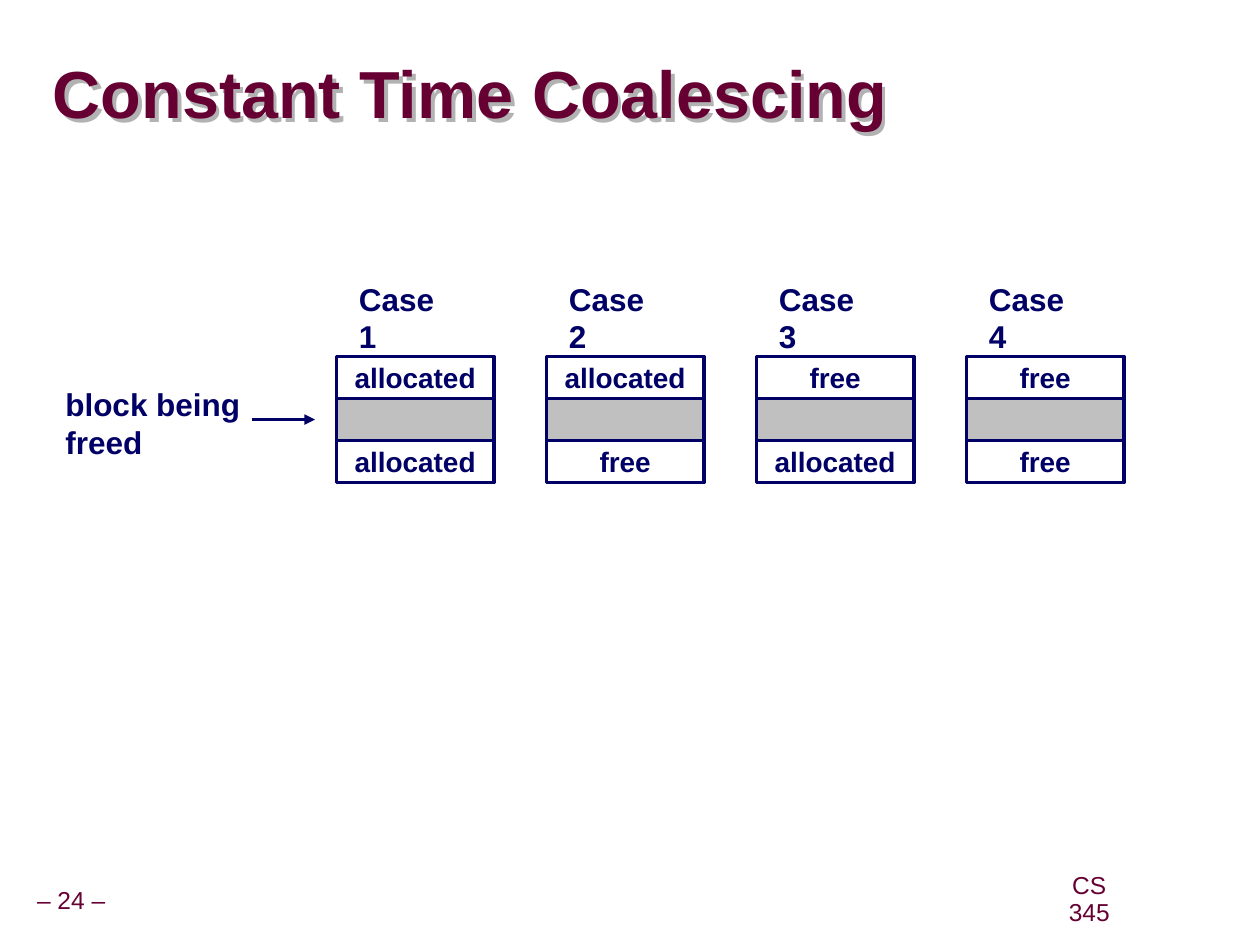
from dataclasses import dataclass

from lxml.etree import SubElement
from pptx import Presentation
from pptx.dml.color import RGBColor
from pptx.enum.shapes import MSO_CONNECTOR, MSO_SHAPE
from pptx.enum.text import MSO_ANCHOR, MSO_AUTO_SIZE, PP_ALIGN
from pptx.oxml import parse_xml
from pptx.oxml.ns import nsdecls, qn
from pptx.util import Inches, Pt


@dataclass(frozen=True)
class Theme:
    font: str = "Arial"
    wine: str = "660033"
    navy: str = "000066"
    gray: str = "C0C0C0"
    white: str = "FFFFFF"
    shade: str = "B2B2B2"
    title: int = 38
    label: int = 18
    cell: int = 16
    foot: int = 14
    line: int = 2


THEME = Theme()
CASES = [
    ("allocated", "allocated"),
    ("allocated", "free"),
    ("free", "allocated"),
    ("free", "free"),
]


def color(code):
    return RGBColor.from_string(code)


def write(shape, text, size=THEME.label, ink=THEME.navy, bold=True,
          align=PP_ALIGN.LEFT, anchor=MSO_ANCHOR.TOP, pad=(0.1, 0.05),
          wrap=False, space=1.0, fit=MSO_AUTO_SIZE.NONE):
    """Put formatted text into a shape, one paragraph per line."""
    frame = shape.text_frame
    frame.text = text
    frame.word_wrap = wrap
    frame.auto_size = fit
    frame.vertical_anchor = anchor
    frame.margin_left = frame.margin_right = Inches(pad[0])
    frame.margin_top = frame.margin_bottom = Inches(pad[1])
    for para in frame.paragraphs:
        para.alignment = align
        para.line_spacing = space
        for run in para.runs:
            font = run.font
            font.name, font.size, font.bold = THEME.font, Pt(size), bold
            font.color.rgb = color(ink)


def label(slide, box, text, **style):
    shape = slide.shapes.add_textbox(*map(Inches, box))
    write(shape, text, fit=MSO_AUTO_SIZE.SHAPE_TO_FIT_TEXT, **style)


def block(slide, box, fill, text=""):
    shape = slide.shapes.add_shape(MSO_SHAPE.RECTANGLE, *map(Inches, box))
    shape.shadow.inherit = False
    shape.fill.solid()
    shape.fill.fore_color.rgb = color(fill)
    shape.line.color.rgb = color(THEME.navy)
    shape.line.width = Pt(THEME.line)
    if text:
        write(shape, text, size=THEME.cell, align=PP_ALIGN.CENTER,
              anchor=MSO_ANCHOR.MIDDLE)


def arrow(slide, left, right, y):
    line = slide.shapes.add_connector(
        MSO_CONNECTOR.STRAIGHT, Inches(left), Inches(y), Inches(right), Inches(y))
    line.line.color.rgb = color(THEME.navy)
    line.line.width = Pt(THEME.line)
    SubElement(line.line._get_or_add_ln(), qn("a:tailEnd"), type="triangle")
    SubElement(line._element.spPr, qn("a:effectLst"))


def header(slide, box, text):
    title = slide.shapes.title
    title.left, title.top, title.width, title.height = map(Inches, box)
    write(title, text, size=THEME.title, ink=THEME.wine, pad=(0, 0),
          anchor=MSO_ANCHOR.MIDDLE, wrap=True, space=0.87)
    # With no fill, the shadow of the shape falls from its letters
    title.fill.background()
    title._element.spPr.append(parse_xml(
        f'<a:effectLst {nsdecls("a")}>'
        '<a:outerShdw dist="38100" dir="2700000" algn="tl" rotWithShape="0">'
        f'<a:srgbClr val="{THEME.shade}"/></a:outerShdw></a:effectLst>'))


def case(slide, box, name, above, below):
    """A heading over three stacked memory blocks."""
    left, top, width, height = box
    row = 1 / 3
    stack = top + height - 3 * row
    label(slide, (left + 0.08, top, 1, 0.4), name)
    rows = [(1, THEME.gray, ""), (0, THEME.white, above), (2, THEME.white, below)]
    for place, fill, text in rows:
        block(slide, (left, stack + place * row, width, row), fill, text)


def pointer(slide, box):
    """The note and its arrow to the middle blocks."""
    left, top, width, height = box
    label(slide, (left, top, 1.59, height), "block being\nfreed")
    arrow(slide, left + width - 0.5, left + width, top + 0.32)


def footer(slide, box):
    left, top, width, height = box
    style = dict(size=THEME.foot, ink=THEME.wine, bold=False, space=0.9,
                 align=PP_ALIGN.CENTER, anchor=MSO_ANCHOR.MIDDLE, pad=(0.05, 0.05))
    label(slide, (left, top + 0.01, 1.31, height), "– 24 –", **style)
    label(slide, (left + width - 0.75, top, 0.75, height), "CS 345", **style)


def main():
    deck = Presentation()
    deck.slide_width, deck.slide_height = Inches(10), Inches(7.5)
    slide = deck.slides.add_slide(deck.slide_layouts[5])

    header(slide, (0.42, 0.46, 7.68, 0.63), "Constant Time Coalescing")
    # Four cases at an even step
    for index, (above, below) in enumerate(CASES):
        box = (2.67 + index * 5 / 3, 2.17, 1.25, 1.66)
        case(slide, box, f"Case {index + 1}", above, below)
    pointer(slide, (0.42, 3.01, 2.08, 0.7))
    footer(slide, (-0.09, 6.99, 9.11, 0.31))

    deck.save("out.pptx")


if __name__ == "__main__":
    main()
